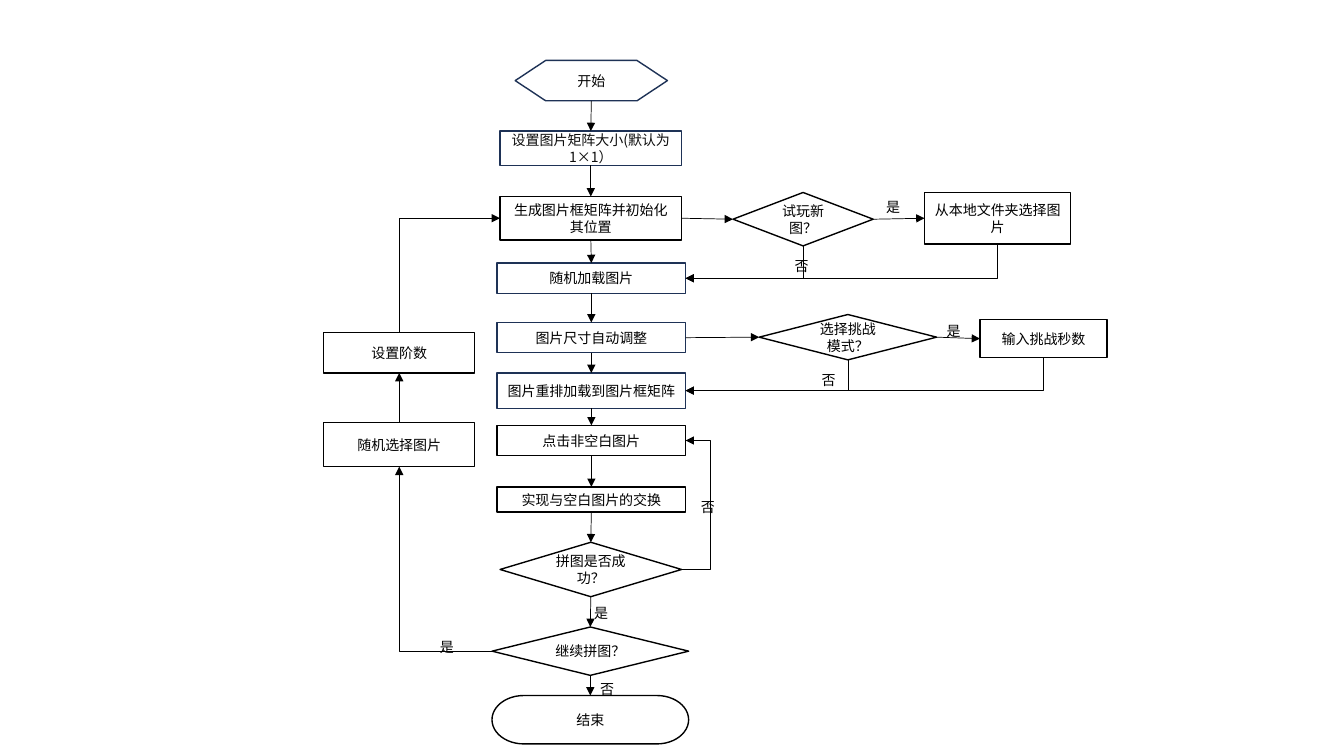
import pptx
import pptx.util
import pptx.dml.color
import pptx.enum.shapes
import pptx.enum.text
import pptx.oxml.ns
import lxml.etree

PX = 9144  # EMU per px, 100 px to the inch
FONT = "Noto Sans CJK SC"
BLACK, NAVY, GREY, WHITE = "000000", "1E3256", "0D0D0D", "FFFFFF"
TEXT = {"name": FONT, "size": pptx.util.Pt(10), "bold": False}
TOP, LEFT, BOTTOM, RIGHT = range(4)

# name: (kind, left, top, width, height, line colour, text colour, text)
STEPS = {
    "start": ("PREPARATION", 511, 60, 151, 40, NAVY, BLACK, "开始"),
    "size": ("BOX", 496, 130, 180, 34, NAVY, GREY, "设置图片矩阵大小(默认为1×1）"),
    "frames": ("BOX", 496, 195, 180, 43, BLACK, BLACK, "生成图片框矩阵并初始化其位置"),
    "load": ("BOX", 493, 261, 187, 30, NAVY, BLACK, "随机加载图片"),
    "fit": ("BOX", 493, 320, 187, 30, NAVY, BLACK, "图片尺寸自动调整"),
    "shuffle": ("BOX", 493, 370, 187, 35, NAVY, BLACK, "图片重排加载到图片框矩阵"),
    "click": ("BOX", 493, 422, 187, 30, BLACK, BLACK, "点击非空白图片"),
    "swap": ("BOX", 493, 483, 187, 25, BLACK, BLACK, "实现与空白图片的交换"),
    "solved": ("DECISION", 496, 538, 180, 54, BLACK, BLACK, "拼图是否成功？"),
    "again": ("DECISION", 488, 622, 195, 48, BLACK, BLACK, "继续拼图？"),
    "end": ("TERMINATOR", 488, 690, 195, 48, BLACK, BLACK, "结束"),
    "random": ("BOX", 321, 419, 150, 44, BLACK, BLACK, "随机选择图片"),
    "order": ("BOX", 321, 330, 150, 40, BLACK, BLACK, "设置阶数"),
    "challenge": ("DECISION", 753, 312, 176, 45, BLACK, BLACK, "选择挑战模式？"),
    "seconds": ("BOX", 972, 317, 126, 38, BLACK, BLACK, "输入挑战秒数"),
    "new": ("DECISION", 727, 191, 139, 53, BLACK, BLACK, "试玩新图？"),
    "folder": ("BOX", 917, 191, 145, 51, BLACK, BLACK, "从本地文件夹选择图片"),
}
SPINE = ["start", "size", "frames", "load", "fit", "shuffle", "click", "swap",
         "solved", "again", "end"]
# (from, side, to, side)
STRAIGHT = [(a, BOTTOM, b, TOP) for a, b in zip(SPINE, SPINE[1:])] + [
    ("random", TOP, "order", BOTTOM),
    ("fit", RIGHT, "challenge", LEFT),
    ("challenge", RIGHT, "seconds", LEFT),
    ("frames", RIGHT, "new", LEFT),
    ("new", RIGHT, "folder", LEFT),
]
# (from, side, to, side, rotation of a right-then-down corner)
CORNERS = [
    ("again", LEFT, "random", BOTTOM, 180),
    ("order", TOP, "frames", LEFT, 270),
    ("seconds", BOTTOM, "shuffle", RIGHT, 90),
    ("challenge", BOTTOM, "shuffle", RIGHT, 90),
    ("folder", BOTTOM, "load", RIGHT, 90),
    ("new", BOTTOM, "load", RIGHT, 90),
]
RETRY_X = 704  # outer edge of the loop back to "click"
# (text, left, top, width, height, vertical)
LABELS = [
    ("否", 695, 490, 10, 27, False),
    ("是", 572, 592, 37, 28, True),
    ("否", 578, 668, 37, 19, True),
    ("是", 419, 628, 37, 17, True),
    ("是", 929, 315, 36, 27, False),
    ("否", 805, 364, 21, 27, False),
    ("是", 869, 192, 37, 27, False),
    ("否", 771, 247, 37, 24, True),
]
KINDS = pptx.enum.shapes.MSO_SHAPE
GEOMETRY = {"BOX": KINDS.RECTANGLE, "PREPARATION": KINDS.FLOWCHART_PREPARATION,
            "DECISION": KINDS.FLOWCHART_DECISION,
            "TERMINATOR": KINDS.FLOWCHART_TERMINATOR}
CONNECTORS = pptx.enum.shapes.MSO_CONNECTOR


def rgb(color):
    return pptx.dml.color.RGBColor.from_string(color)


def emu(*lengths):
    return [n * PX for n in lengths]


def sub(parent, tag, **attrs):
    return lxml.etree.SubElement(parent, pptx.oxml.ns.qn(tag), attrs)


def write(tf, text, color):
    p = tf.paragraphs[0]
    r = p.add_run()
    r.text = text
    for name, value in TEXT.items():
        setattr(r.font, name, value)
    r.font.color.rgb = rgb(color)
    sub(r.font._element, "a:ea", typeface=FONT)
    return p


def connect(kind, a, a_side, b, b_side):
    c = slide.shapes.add_connector(kind, 0, 0, 0, 0)
    c.begin_connect(steps[a], a_side)
    c.end_connect(steps[b], b_side)
    c.line.color.rgb = rgb(BLACK)
    c.line.width = pptx.util.Pt(0.5)
    sub(c.line._get_or_add_ln(), "a:tailEnd", type="triangle")
    sub(c._element.spPr, "a:effectLst")
    return c


def connect_corner(a, a_side, b, b_side, turn):
    c = connect(CONNECTORS.ELBOW, a, a_side, b, b_side)
    mid_x, mid_y = (c.begin_x + c.end_x) // 2, (c.begin_y + c.end_y) // 2
    w, h = c.width, c.height
    if turn % 180:
        w, h = h, w
    xfrm = c._element.spPr.xfrm
    xfrm.flipH = xfrm.flipV = False
    xfrm.set("rot", str(turn * 60000))
    frame = {"left": mid_x - w // 2, "top": mid_y - h // 2, "width": w, "height": h}
    for name, value in frame.items():
        setattr(c, name, value)
    c._element.spPr.prstGeom.set("prst", "bentConnector2")


prs = pptx.Presentation()
prs.slide_width, prs.slide_height = emu(1333, 750)
slide = prs.slides.add_slide(prs.slide_layouts[6])

# Steps and decisions
steps = {}
for name, (kind, x, y, w, h, line, color, text) in STEPS.items():
    sp = steps[name] = slide.shapes.add_shape(GEOMETRY[kind], *emu(x, y, w, h))
    sp.shadow.inherit = False
    sp.fill.solid()
    sp.fill.fore_color.rgb = rgb(WHITE)
    sp.line.color.rgb = rgb(line)
    sp.line.width = pptx.util.Pt(1)
    sp.text_frame.word_wrap = True
    sp.text_frame.vertical_anchor = pptx.enum.text.MSO_ANCHOR.MIDDLE
    write(sp.text_frame, text, color).alignment = pptx.enum.text.PP_ALIGN.CENTER

# Arrows
for link in STRAIGHT:
    connect(CONNECTORS.STRAIGHT, *link)
for link in CORNERS:
    connect_corner(*link)

# Loop back after a failed puzzle
retry = connect(CONNECTORS.ELBOW, "solved", RIGHT, "click", RIGHT)
bend = (RETRY_X * PX - retry.begin_x) / (retry.end_x - retry.begin_x)
geom = retry._element.spPr.prstGeom
sub(geom.get_or_add_avLst(), "a:gd", name="adj1", fmla=f"val {round(bend * 100000)}")

# Yes and no labels
for text, x, y, w, h, vertical in LABELS:
    tf = slide.shapes.add_textbox(*emu(x, y, w, h)).text_frame
    tf.word_wrap = w > 10
    tf.auto_size = pptx.enum.text.MSO_AUTO_SIZE.SHAPE_TO_FIT_TEXT
    if vertical:
        tf._txBody.bodyPr.set("vert", "eaVert")
    write(tf, text, BLACK)

prs.save("out.pptx")
